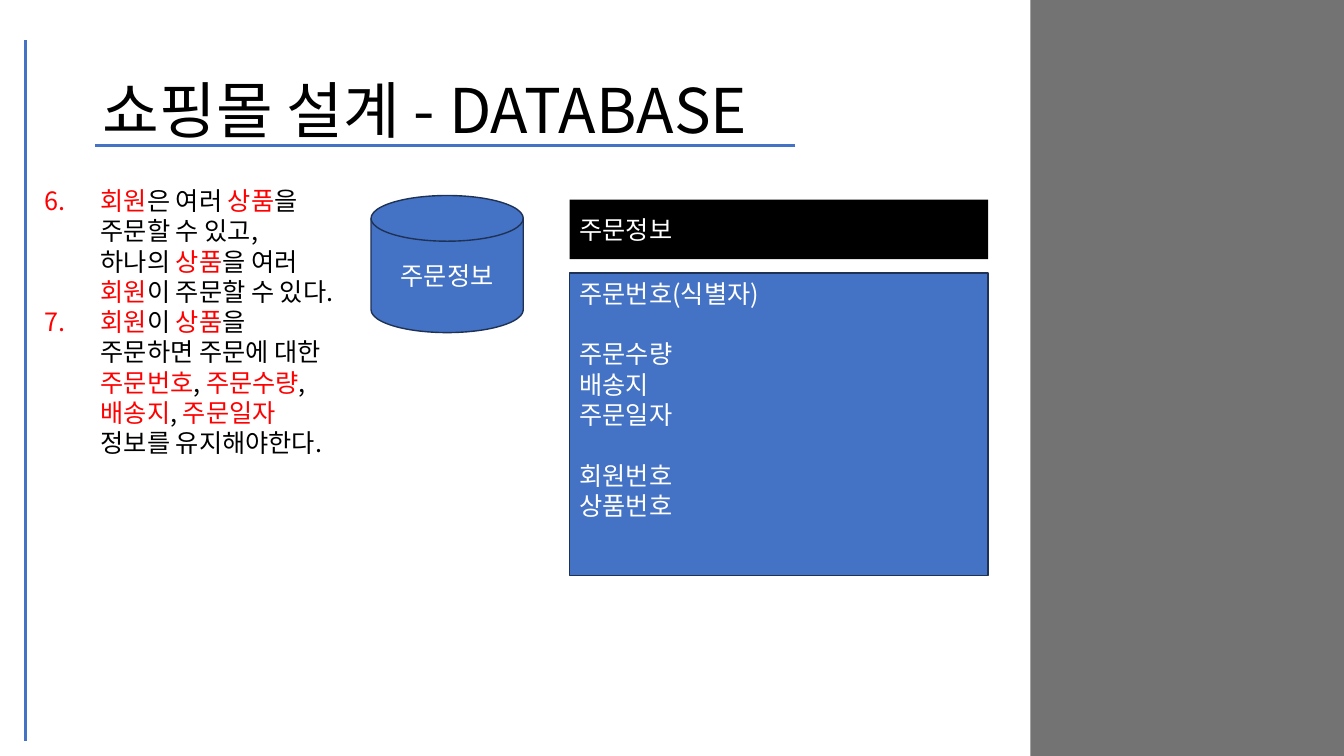
"""Build the shopping mall database design slide about order information."""
from itertools import cycle
from lxml import etree
from pptx import Presentation
from pptx.dml.color import RGBColor
from pptx.enum.shapes import MSO_CONNECTOR, MSO_SHAPE
from pptx.enum.text import MSO_ANCHOR, PP_ALIGN
from pptx.oxml.ns import qn
from pptx.util import Inches, Pt

RECT, DISK = MSO_SHAPE.RECTANGLE, MSO_SHAPE.FLOWCHART_MAGNETIC_DISK
STRAIGHT = MSO_CONNECTOR.STRAIGHT
TOP, MIDDLE = MSO_ANCHOR.TOP, MSO_ANCHOR.MIDDLE
LEFT, CENTER = PP_ALIGN.LEFT, PP_ALIGN.CENTER

TITLE = "쇼핑몰 설계 - DATABASE"
ENTITY = "주문정보"
FIELD_GROUPS = [
    ["주문번호(식별자)"],
    ["주문수량", "배송지", "주문일자"],
    ["회원번호", "상품번호"],
]
FIRST_NUMBER = 6
# Pieces alternate between key terms and plain wording.
REQUIREMENTS = [
    ("회원", "은 여러 ", "상품", "을 주문할 수 있고, 하나의 ", "상품", "을 여러 ",
     "회원", "이 주문할 수 있다."),
    ("회원", "이 ", "상품", "을 주문하면 주문에 대한 ", "주문번호", ", ",
     "주문수량", ", ", "배송지", ", ", "주문일자", " 정보를 유지해야한다."),
]

COLORS = {"blue": "4472C4", "edge": "1E3256", "black": "000000",
          "white": "FFFFFF", "red": "FF0000", "gray": "737373"}
FONT = "Noto Sans CJK KR"
TITLE_SIZE, TEXT_SIZE = 44, 18
GROUP_GAP = 21.7
NUMBER_INDENT = 0.56
WIDTH, HEIGHT = 13.33, 7.5
PANEL_LEFT = 10.22
TABLE_LEFT, TABLE_WIDTH = 5.65, 4.15
RULES = [(0.25, 0.4, 0.25, 7.35), (7.89, 1.44, 0.94, 1.44)]


def rgb(name):
    return RGBColor.from_string(COLORS[name])


def style(paragraph, size, color):
    font = paragraph.font
    font.size, font.name = Pt(size), FONT
    font.color.rgb = rgb(color)
    latin = paragraph._p.pPr.find(qn("a:defRPr")).find(qn("a:latin"))
    east_asian = etree.Element(qn("a:ea"), typeface=FONT)
    latin.addnext(east_asian)


def add_block(slide, kind, box, fill, edge=None):
    block = slide.shapes.add_shape(kind, *map(Inches, box))
    block.shadow.inherit = False
    block.fill.solid()
    block.fill.fore_color.rgb = rgb(fill)
    if edge:
        block.line.color.rgb = rgb(edge)
        block.line.width = Pt(1)
    else:
        block.line.fill.background()
    return block


def write_groups(block, groups, anchor, align):
    frame = block.text_frame
    frame.word_wrap = True
    frame.vertical_anchor = anchor
    paragraph = None
    for g, group in enumerate(groups):
        for i, line in enumerate(group):
            paragraph = frame.add_paragraph() if paragraph else frame.paragraphs[0]
            paragraph.text = line
            paragraph.alignment = align
            if g and i == 0:
                paragraph.space_before = Pt(GROUP_GAP)
            style(paragraph, TEXT_SIZE, "white")


def add_rule(slide, ends):
    rule = slide.shapes.add_connector(STRAIGHT, *map(Inches, ends))
    rule.line.color.rgb = rgb("blue")
    rule.line.width = Pt(2.25)
    etree.SubElement(rule._element.spPr, qn("a:effectLst"))


def add_title(slide):
    title = slide.shapes.add_textbox(*map(Inches, (0.92, 0.4, 11.5, 1.45)))
    frame = title.text_frame
    frame.word_wrap = True
    frame.vertical_anchor = MIDDLE
    heading = frame.paragraphs[0]
    heading.text = TITLE
    heading.line_spacing = 0.9
    style(heading, TITLE_SIZE, "black")


def add_requirements(slide):
    notes = slide.shapes.add_textbox(*map(Inches, (0.34, 1.79, 3.01, 3.13)))
    frame = notes.text_frame
    frame.word_wrap = True
    for n, pieces in enumerate(REQUIREMENTS):
        item = frame.add_paragraph() if n else frame.paragraphs[0]
        props = item._p.get_or_add_pPr()
        props.set("marL", str(Inches(NUMBER_INDENT)))
        props.set("indent", str(-Inches(NUMBER_INDENT)))
        etree.SubElement(props, qn("a:buFont"), typeface="+mj-lt")
        etree.SubElement(props, qn("a:buAutoNum"), type="arabicPeriod",
                         startAt=str(FIRST_NUMBER))
        style(item, TEXT_SIZE, "black")
        for piece, color in zip(pieces, cycle(("red", "black"))):
            run = item.add_run()
            run.text = piece
            run.font.color.rgb = rgb(color)


def main():
    deck = Presentation()
    deck.slide_width, deck.slide_height = Inches(WIDTH), Inches(HEIGHT)
    slide = deck.slides.add_slide(deck.slide_layouts[6])
    add_block(slide, RECT, (PANEL_LEFT, 0, WIDTH - PANEL_LEFT, HEIGHT), "gray")
    for ends in RULES:
        add_rule(slide, ends)
    add_title(slide)
    store = add_block(slide, DISK, (3.68, 1.94, 1.51, 1.36), "blue", "edge")
    write_groups(store, [[ENTITY]], MIDDLE, CENTER)
    fields = add_block(slide, RECT, (TABLE_LEFT, 2.71, TABLE_WIDTH, 3), "blue", "edge")
    write_groups(fields, FIELD_GROUPS, TOP, LEFT)
    header = add_block(slide, RECT, (TABLE_LEFT, 1.98, TABLE_WIDTH, 0.59), "black")
    write_groups(header, [[ENTITY]], MIDDLE, LEFT)
    add_requirements(slide)
    deck.save("out.pptx")


if __name__ == "__main__":
    main()
